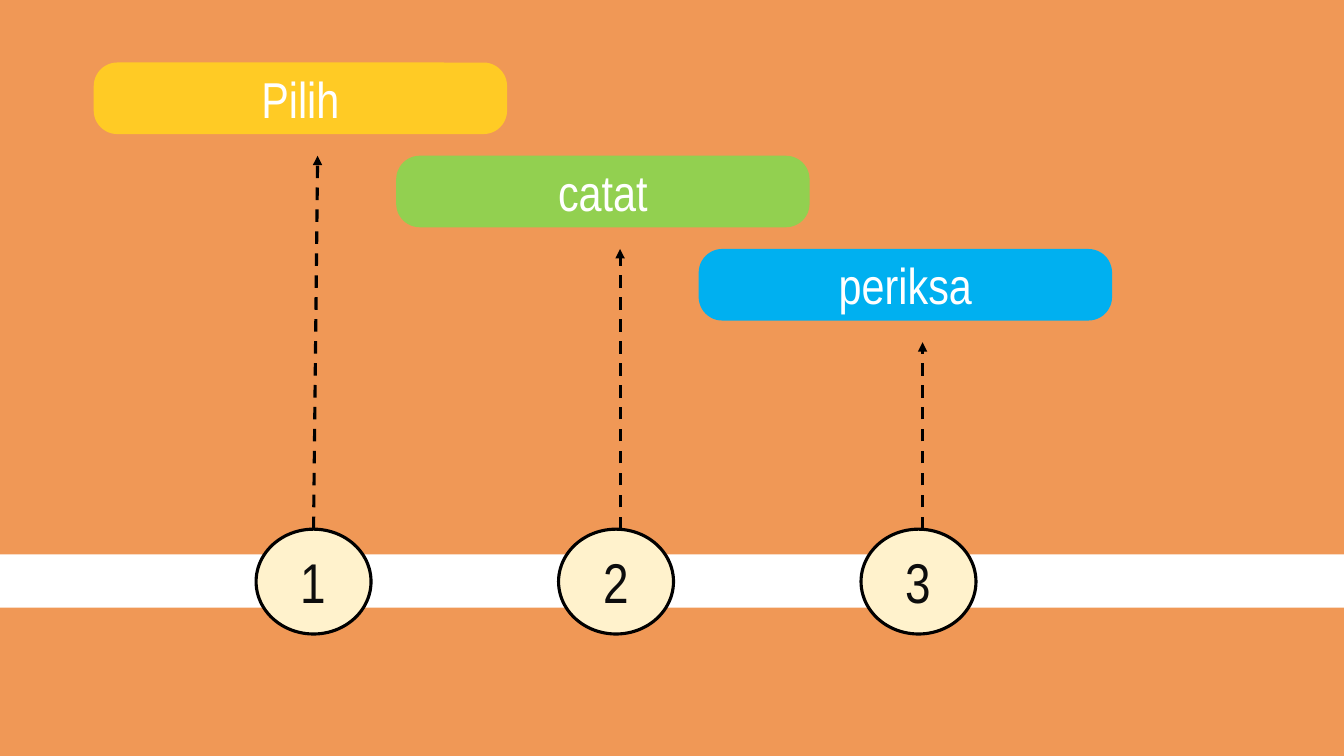
from dataclasses import dataclass

from lxml import etree
from pptx import Presentation
from pptx.dml.color import RGBColor
from pptx.enum import dml, shapes, text
from pptx.oxml import ns
from pptx.util import Pt

PX = 9144  # EMU per px, 100 px to the inch


@dataclass(frozen=True)
class Theme:
    back: str = "F09856"
    band: str = "FFFFFF"
    disc: str = "FFF2CC"
    line: str = "000000"
    digit: str = "0D0D0D"
    label: str = "FFFFFF"
    font: str = "Arial Narrow"
    big: int = 40
    mid: int = 36
    width: float = 2.25


THEME = Theme()
KIND = shapes.MSO_SHAPE
STEP = 300  # from one stage to the next
DROP = 92.5  # from one label down to the next
# label, colour, arrow start x, arrow end x
STAGES = [
    ("Pilih", "FFCB25", 311, 315),
    ("catat", "92D050", 615, 615),
    ("periksa", "00B0F0", 915, 915),
]


def rgb(code):
    return RGBColor.from_string(code)


def emu(*sizes):
    return [round(size * PX) for size in sizes]


def block(slide, kind, box, fill):
    """Add a flat filled shape without an outline."""
    shape = slide.shapes.add_shape(kind, *emu(*box))
    shape.shadow.inherit = False
    shape.fill.solid()
    shape.fill.fore_color.rgb = rgb(fill)
    shape.line.fill.background()
    return shape


def write(shape, words, size, color):
    frame = shape.text_frame
    frame.vertical_anchor = text.MSO_ANCHOR.MIDDLE
    para = frame.paragraphs[0]
    para.text = words
    para.alignment = text.PP_ALIGN.CENTER
    para.font.name = THEME.font
    para.font.size = Pt(size)
    para.font.color.rgb = rgb(color)


def stroke(line):
    line.color.rgb = rgb(THEME.line)
    line.width = Pt(THEME.width)


def disc(slide, left, number):
    shape = block(slide, KIND.OVAL, (left, 525, 114, 104), THEME.disc)
    stroke(shape.line)
    write(shape, str(number), THEME.big, THEME.digit)


def arrow(slide, start, end):
    link = slide.shapes.add_connector(
        shapes.MSO_CONNECTOR.STRAIGHT, *emu(*start, *end))
    stroke(link.line)
    link.line.dash_style = dml.MSO_LINE.DASH
    props = link.element.spPr
    tip = etree.SubElement(props.find(ns.qn("a:ln")), ns.qn("a:tailEnd"))
    tip.set("type", "triangle")
    etree.SubElement(props, ns.qn("a:effectLst"))


def label(slide, left, top, words, fill):
    shape = block(slide, KIND.ROUNDED_RECTANGLE, (left, top, 410, 71), fill)
    shape.adjustments[0] = 0.33
    write(shape, words, THEME.mid, THEME.label)


def main():
    deck = Presentation()
    deck.slide_width, deck.slide_height = emu(1333, 750)
    slide = deck.slides.add_slide(deck.slide_layouts[6])
    slide.background.fill.solid()
    slide.background.fill.fore_color.rgb = rgb(THEME.back)

    block(slide, KIND.RECTANGLE, (-22, 550, 1454, 53), THEME.band)
    for i, (words, fill, foot, head) in enumerate(STAGES):
        top = 62 + i * DROP
        disc(slide, 254 + i * STEP, i + 1)
        arrow(slide, (foot, 525), (head, top + DROP))
        label(slide, 93 + i * STEP, top, words, fill)
    deck.save("out.pptx")


if __name__ == "__main__":
    main()
